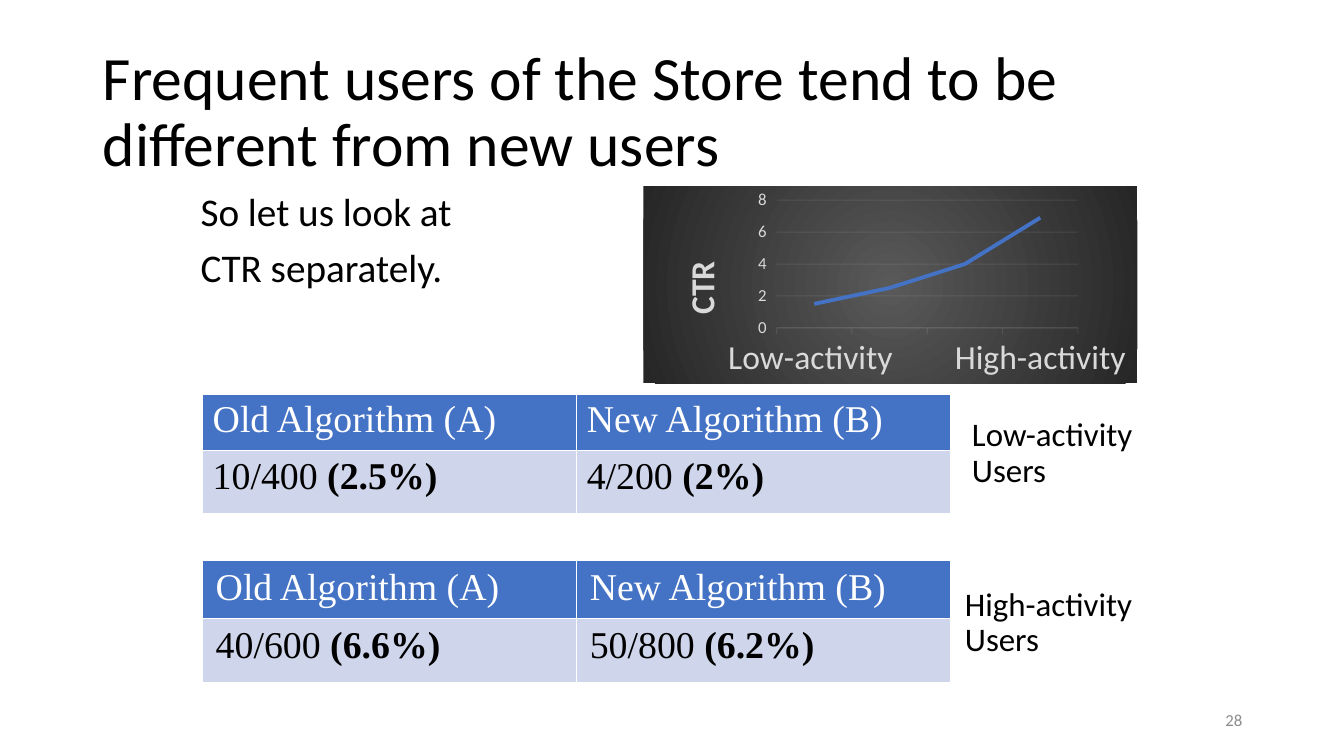
import pptx
import pptx.chart.data
import pptx.dml.color
import pptx.enum.chart
import pptx.enum.text
import pptx.oxml
import pptx.oxml.ns
import pptx.util

# Content
TITLE = "Frequent users of the Store tend to be different from new users"
LEAD = ["So let us look at", "CTR separately."]
HEADERS = ["Old Algorithm (A)", "New Algorithm (B)"]
# group, results, table top, row heights, cell margins, label place
GROUPS = [
    ("Low-activity Users", [("10/400 ", "(2.5%)"), ("4/200 ", "(2%)")],
     3.91, (0.56, 0.63), (0.1, 0.05), (9.49, 4.03)),
    ("High-activity Users", [("40/600 ", "(6.6%)"), ("50/800 ", "(6.2%)")],
     5.56, (0.58, 0.63), (0.13, 0.06), (9.42, 5.71)),
]
ACTIVITY = ["Low-activity ", "", "", "High-activity"]
CTR = [1.5, 2.5, 4, 6.9]
PAGE_NUMBER = "28"

BLUE, PALE, BLACK, WHITE, GREY = "4472C4", "CFD5EA", "000000", "FFFFFF", "D9D9D9"
TABLE_LEFT, COLUMN = 2.01, 3.71
Inches, Pt = pptx.util.Inches, pptx.util.Pt
ANCHOR, ALIGN = pptx.enum.text.MSO_ANCHOR, pptx.enum.text.PP_ALIGN
NS = pptx.oxml.ns.nsdecls("a", "c")


def color(value):
    return pptx.dml.color.RGBColor.from_string(value)


def style(font, size, value, name="Calibri", bold=False):
    font.size, font.name, font.bold = Pt(size), name, bold
    font.color.rgb = color(value)


def place(shape, left, top, width, height):
    shape.left, shape.top = Inches(left), Inches(top)
    shape.width, shape.height = Inches(width), Inches(height)


def add_text(place_at, lines, size, value=BLACK, margins=(0.1, 0.05)):
    frame = page.shapes.add_textbox(*map(Inches, place_at)).text_frame
    frame.word_wrap = True
    frame.margin_left = frame.margin_right = Inches(margins[0])
    frame.margin_top = frame.margin_bottom = Inches(margins[1])
    frame.text = "\n".join(lines)
    for para in frame.paragraphs:
        para.line_spacing = 0.9
        style(para.font, size, value)
    return frame


def faint_line(line):
    line.color.rgb = color("F2F2F2")
    line.width = Pt(0.75)
    tint = line.fill._xPr.find(".//" + pptx.oxml.ns.qn("a:srgbClr"))
    tint.append(pptx.oxml.parse_xml(f'<a:alpha {NS} val="10000"/>'))


def layout_xml(target, **shares):
    inner = '<c:layoutTarget val="inner"/>' if target else ""
    modes = '<c:xMode val="edge"/><c:yMode val="edge"/>'
    sizes = "".join(f'<c:{key} val="{share}"/>' for key, share in shares.items())
    return pptx.oxml.parse_xml(
        f"<c:layout {NS}><c:manualLayout>{inner}{modes}{sizes}</c:manualLayout></c:layout>")


def set_layout(parent, after, layout):
    for old in parent.findall(pptx.oxml.ns.qn("c:layout")):
        parent.remove(old)
    if after is None:
        parent.insert(0, layout)
    else:
        after.addnext(layout)


deck = pptx.Presentation()
deck.slide_width, deck.slide_height = Inches(13.33), Inches(7.5)
page = deck.slides.add_slide(deck.slide_layouts[5])

# Title and lead text
title = page.shapes.title
place(title, 0.92, 0.4, 11.5, 1.45)
title.text_frame.text = TITLE
title.text_frame.auto_size = pptx.enum.text.MSO_AUTO_SIZE.NONE
title.text_frame.vertical_anchor = ANCHOR.MIDDLE
heading = title.text_frame.paragraphs[0]
heading.alignment, heading.line_spacing = ALIGN.LEFT, 0.9
style(heading.font, 44, BLACK)

lead = add_text((1.89, 1.86, 4.39, 1.17), LEAD, 28)
lead.paragraphs[1].space_before = Pt(10)

# Chart
data = pptx.chart.data.CategoryChartData()
data.categories = ACTIVITY
data.add_series("Series 1", CTR)
chart = page.shapes.add_chart(
    pptx.enum.chart.XL_CHART_TYPE.LINE,
    *map(Inches, (6.38, 1.85, 4.9, 1.95)), data).chart
chart.has_legend = chart.has_title = False
style(chart.font, 10, BLACK)
series = chart.plots[0].series[0]
chart.plots[0].vary_by_categories = False
series.smooth = False
series.format.line.color.rgb = color(BLUE)
series.format.line.width = Pt(2.75)
series.marker.style = pptx.enum.chart.XL_MARKER_STYLE.NONE

across, up = chart.category_axis, chart.value_axis
style(across.tick_labels.font, 24, GREY)
faint_line(across.format.line)
style(up.tick_labels.font, 12, GREY)
up.minimum_scale, up.maximum_scale, up.major_unit = 0, 8, 2
up.format.line.fill.background()
faint_line(up.major_gridlines.format.line)
caption = up.axis_title
caption.text_frame.text = "CTR"
style(caption.text_frame.paragraphs[0].font, 24, GREY, bold=True)
caption_xml = caption._element
set_layout(caption_xml, caption_xml.find(pptx.oxml.ns.qn("c:tx")),
           layout_xml(False, x=0.06, y=0.35))
plot_area = chart._chartSpace.chart.plotArea
set_layout(plot_area, None, layout_xml(True, x=0.27, y=0.07, w=0.61, h=0.65))

# Radial chart background
stops = "".join(f'<a:gs pos="{pos}"><a:srgbClr val="{tone}"/></a:gs>'
                for pos, tone in [(0, "595959"), (100000, "262626")])
chart._chartSpace.chart.addnext(pptx.oxml.parse_xml(
    f'<c:spPr {NS}><a:gradFill><a:gsLst>{stops}</a:gsLst><a:path path="circle">'
    '<a:fillToRect l="50000" t="50000" r="50000" b="50000"/></a:path>'
    "</a:gradFill><a:ln><a:noFill/></a:ln></c:spPr>"))

# Result tables with their labels
for group, results, top, heights, margins, corner in GROUPS:
    table = page.shapes.add_table(
        2, 2, *map(Inches, (TABLE_LEFT, top, 2 * COLUMN, sum(heights)))).table
    for column in table.columns:
        column.width = Inches(COLUMN)
    rows = [[(header,) for header in HEADERS], results]
    for r, (height, row) in enumerate(zip(heights, rows)):
        table.rows[r].height = Inches(height)
        for c, parts in enumerate(row):
            cell = table.cell(r, c)
            cell.fill.solid()
            cell.fill.fore_color.rgb = color(PALE if r else BLUE)
            cell.margin_left = cell.margin_right = Inches(margins[0])
            cell.margin_top = cell.margin_bottom = Inches(margins[1])
            for i, part in enumerate(parts):
                span = cell.text_frame.paragraphs[0].add_run()
                span.text = part
                style(span.font, 27, BLACK if r else WHITE, "Times New Roman", i == 1)
    label = add_text((*corner, 2.15, 0.95), [group], 23.5, margins=(0.15, 0.12))
    label.paragraphs[0].space_after = Pt(4.4)

# Page number
number = add_text((9.42, 6.95, 3, 0.4), [PAGE_NUMBER], 12, "8C8C8C")
number.vertical_anchor = ANCHOR.MIDDLE
number.paragraphs[0].alignment = ALIGN.RIGHT

deck.save("out.pptx")
